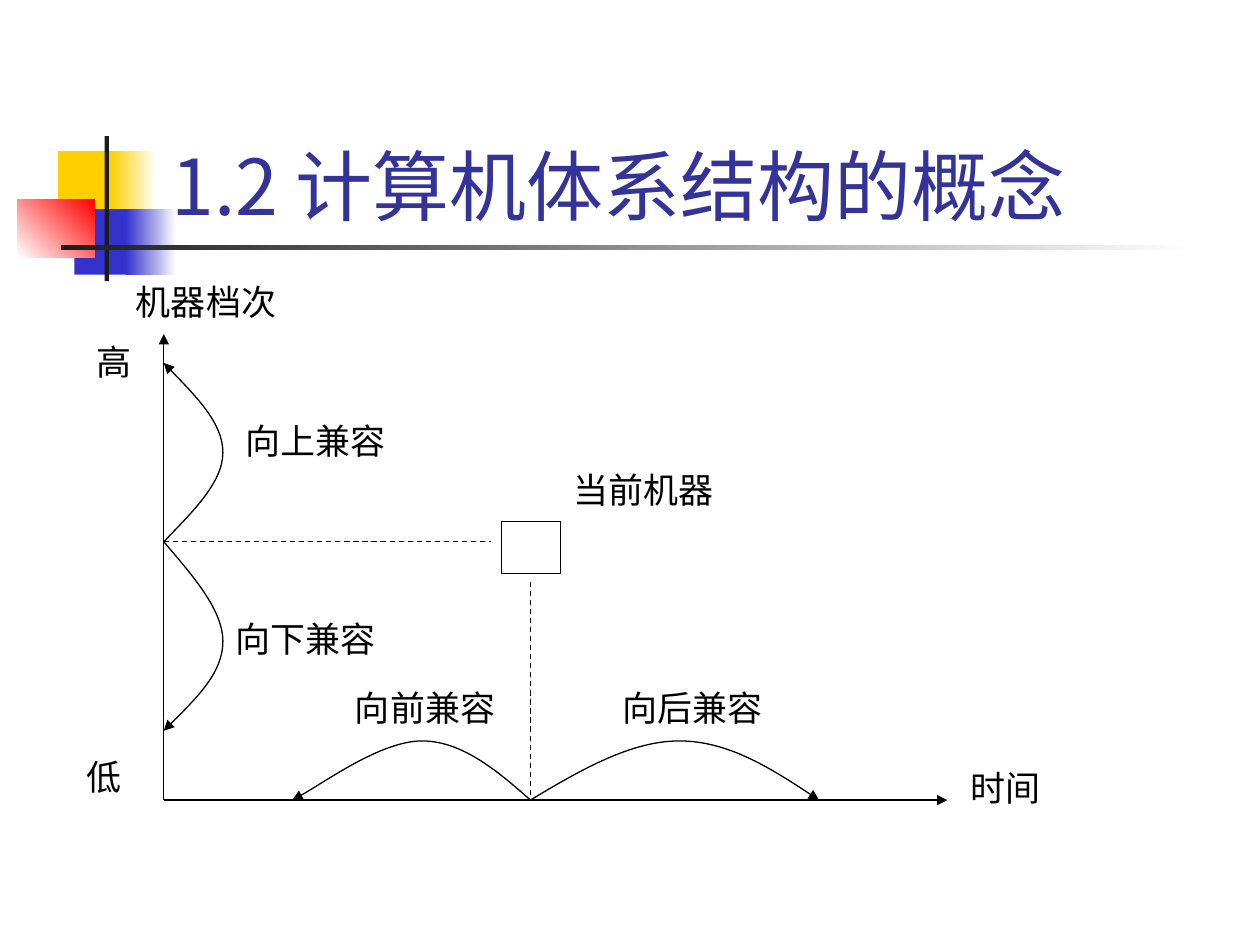
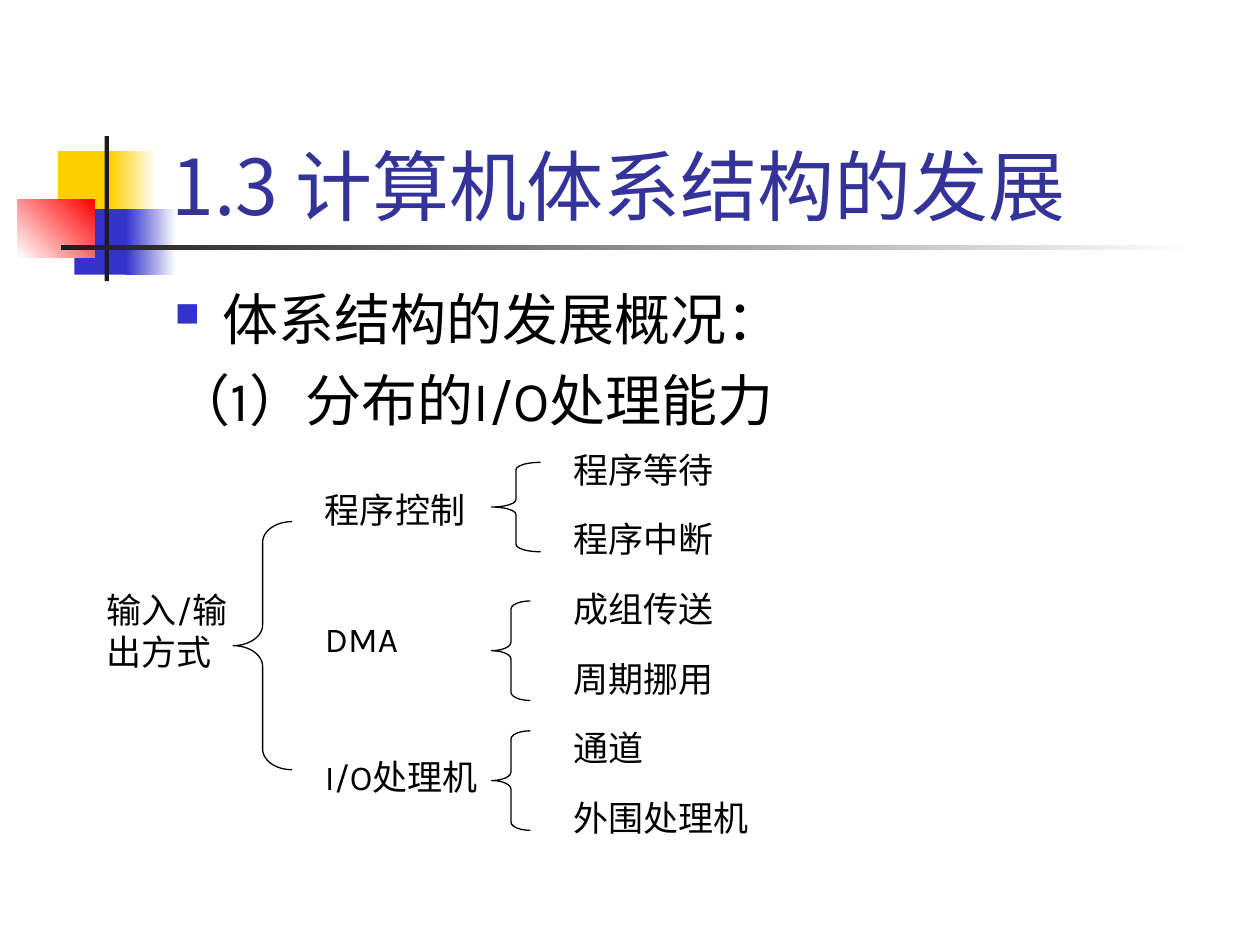
from dataclasses import dataclass

from pptx import Presentation
from pptx.dml.color import RGBColor
from pptx.enum.dml import MSO_LINE
from pptx.enum.shapes import MSO_CONNECTOR, MSO_SHAPE
from pptx.enum.text import MSO_ANCHOR, MSO_AUTO_SIZE, PP_ALIGN
from pptx.oxml.ns import qn
from pptx.oxml.xmlchemy import OxmlElement
from pptx.util import Pt

COLORS = {
    "title": "333399", "text": "000000", "ink": "1C1C1C", "yellow": "FFCF01",
    "blue": "3333CC", "red": "FF0000", "white": "FFFFFF",
}
TITLE_FONT = "Noto Sans CJK SC"
TEXT_FONT = "Karla"
LABEL_SIZE = 20
LABEL_HEIGHT = 31.7
LINE_WIDTH = 0.75


@dataclass(frozen=True)
class Block:
    """A rectangle of the title ornament, plain or fading to a second colour."""
    left: float
    top: float
    width: float
    height: float
    color: str
    fade_to: str | None = None
    angle: float = 0


@dataclass(frozen=True)
class Label:
    text: str
    left: float
    top: float
    width: float
    height: float = LABEL_HEIGHT


@dataclass(frozen=True)
class Brace:
    left: float
    top: float
    width: float
    height: float


@dataclass(frozen=True)
class Arc:
    """Cubic curve: a start, then three points for each segment."""
    start: tuple[float, float]
    points: tuple[tuple[float, float], ...]


ORNAMENT = (
    Block(33.1, 86.4, 34.6, 37.4, "yellow"),
    Block(63.4, 86.4, 25.9, 37.4, "yellow", "white"),
    Block(42.5, 119.5, 33.1, 37.4, "blue"),
    Block(72, 119.5, 28.8, 37.4, "blue", "white"),
    Block(10.1, 113.8, 43.9, 33.1, "white", "red", 45),
    Block(59.8, 77.8, 2.5, 82.8, "ink"),
    Block(34.6, 140.2, 648, 2.5, "ink", "white"),
)

# Compatibility chart: axes meet at (AXIS_X, AXIS_Y), the machine at (NOW_X, LEVEL_Y)
AXIS_X, AXIS_Y = 93.6, 457.2
NOW_X, LEVEL_Y = 303.1, 309.6
ARC_X, ARC_Y = 127.4, 423.4

CHART_LABELS = (
    Label("当前机器", 320.4, 264.2, 102.2),
    Label("机器档次", 70.6, 157, 108),
    Label("时间", 547.2, 434.2, 85),
    Label("低", 42.5, 428.4, 45.4),
    Label("高", 48.2, 190.8, 45.4),
    Label("向上兼容", 133.2, 236.2, 96.5),
    Label("向下兼容", 127.4, 349.2, 96.5),
    Label("向前兼容", 195.8, 388.8, 96.5),
    Label("向后兼容", 348.5, 388.8, 96.5),
)
COMPATIBILITY_ARCS = (
    Arc((AXIS_X, LEVEL_Y), ((110.2, 292.3), (ARC_X, 275.8), (ARC_X, 258.5),
                            (ARC_X, 241.9), (110.2, 224.6), (AXIS_X, 207.4))),
    Arc((AXIS_X, LEVEL_Y), ((110.2, 329), (ARC_X, 348.5), (ARC_X, 366.5),
                            (ARC_X, 384.5), (110.2, 401), (AXIS_X, 417.6))),
    Arc((NOW_X, AXIS_Y), ((283.7, 439.9), (263.5, ARC_Y), (241.2, ARC_Y),
                          (218.2, ARC_Y), (179.3, 451.4), (167, AXIS_Y))),
    Arc((NOW_X, AXIS_Y), ((331.9, 439.9), (360.7, ARC_Y), (388.1, ARC_Y),
                          (415.4, ARC_Y), (442.1, 439.9), (468, AXIS_Y))),
)

# Tree of input/output methods
METHODS = (
    Label("输入/输出方式", 54, 332.6, 96.5, 55.4),
    Label("程序控制", 178.6, 275.8, 102.2),
    Label("DMA", 178.6, 349.2, 102.2),
    Label("I/O处理机", 178.6, 428.4, 113),
)
BRACES = (
    Brace(133.2, 298.1, 33.8, 141.8),
    Brace(280.8, 264.2, 28.1, 51.1),
    Brace(280.8, 343.4, 22.3, 56.9),
    Brace(280.8, 417.6, 22.3, 56.9),
)
VARIANTS = ("程序等待", "程序中断", "成组传送", "周期挪用", "通道", "外围处理机")
VARIANT_TOP, VARIANT_STEP = 252.7, 39.75


def rgb(name: str) -> RGBColor:
    return RGBColor.from_string(COLORS[name])


def add_element(parent, tag: str, **attributes: str):
    element = OxmlElement(tag)
    for key, value in attributes.items():
        element.set(key, value)
    parent.append(element)
    return element


def format_runs(paragraph, size: float, font: str, color: str) -> None:
    for run in paragraph.runs:
        run.font.size = Pt(size)
        run.font.name = font
        run.font.color.rgb = rgb(color)
        add_element(run.font._element, "a:ea", typeface=font)


def draw_block(slide, block: Block) -> None:
    shape = slide.shapes.add_shape(
        MSO_SHAPE.RECTANGLE, Pt(block.left), Pt(block.top), Pt(block.width), Pt(block.height))
    shape.shadow.inherit = False
    shape.line.fill.background()
    if block.fade_to is None:
        shape.fill.solid()
        shape.fill.fore_color.rgb = rgb(block.color)
        return
    shape.fill.gradient()
    shape.fill.gradient_angle = block.angle
    for stop, position, color in zip(
            shape.fill.gradient_stops, (0, 1), (block.color, block.fade_to)):
        stop.position = position
        stop.color.rgb = rgb(color)


def add_titled_slide(deck, heading: str):
    slide = deck.slides.add_slide(deck.slide_layouts[5])
    for block in ORNAMENT:
        draw_block(slide, block)
    title = slide.shapes.title
    slide.shapes._spTree.append(title._element)  # title above the ornament
    title.left, title.top, title.width, title.height = Pt(90.7), Pt(16.6), Pt(613.4), Pt(115.2)
    frame = title.text_frame
    frame.text = heading
    frame.auto_size = MSO_AUTO_SIZE.NONE
    frame.vertical_anchor = MSO_ANCHOR.BOTTOM
    frame.margin_bottom = 0
    frame.paragraphs[0].alignment = PP_ALIGN.LEFT
    format_runs(frame.paragraphs[0], 44, TITLE_FONT, "title")
    return slide


def draw_label(slide, label: Label, size: float = LABEL_SIZE):
    box = slide.shapes.add_textbox(
        Pt(label.left), Pt(label.top), Pt(label.width), Pt(label.height))
    frame = box.text_frame
    frame.word_wrap = True
    frame.text = label.text
    for paragraph in frame.paragraphs:
        format_runs(paragraph, size, TEXT_FONT, "text")
    return frame


def style_line(shape, dashed: bool = False, arrow: bool = False) -> None:
    shape.line.color.rgb = rgb("text")
    shape.line.width = Pt(LINE_WIDTH)
    if dashed:
        shape.line.dash_style = MSO_LINE.DASH
    properties = shape._element.spPr
    if arrow:
        add_element(properties.find(qn("a:ln")), "a:tailEnd", type="triangle")
    add_element(properties, "a:effectLst")


def draw_line(slide, start: tuple[float, float], end: tuple[float, float],
              dashed: bool = False, arrow: bool = False) -> None:
    connector = slide.shapes.add_connector(
        MSO_CONNECTOR.STRAIGHT, *(Pt(value) for value in start + end))
    style_line(connector, dashed, arrow)


def draw_outline(slide, preset, left: float, top: float, width: float, height: float):
    shape = slide.shapes.add_shape(preset, Pt(left), Pt(top), Pt(width), Pt(height))
    shape.fill.background()
    style_line(shape)
    return shape


def draw_brace(slide, brace: Brace) -> None:
    shape = draw_outline(slide, MSO_SHAPE.LEFT_BRACE,
                         brace.left, brace.top, brace.width, brace.height)
    shape.adjustments[0] = brace.height / 12 / min(brace.width, brace.height)


def draw_arc(slide, arc: Arc) -> None:
    builder = slide.shapes.build_freeform(Pt(arc.start[0]), Pt(arc.start[1]))
    builder.add_line_segments([(Pt(x), Pt(y)) for x, y in arc.points], close=False)
    shape = builder.convert_to_shape()
    # Join each three straight steps into one cubic segment
    outline = next(shape._element.iter(qn("a:path")))
    steps = outline.findall(qn("a:lnTo"))
    for first in range(0, len(steps), 3):
        curve = add_element(outline, "a:cubicBezTo")
        for step in steps[first:first + 3]:
            curve.append(step[0])
            outline.remove(step)
    shape.fill.background()
    style_line(shape, arrow=True)


def build_compatibility_slide(deck) -> None:
    slide = add_titled_slide(deck, "1.2 计算机体系结构的概念")
    # Axes
    draw_line(slide, (AXIS_X, AXIS_Y), (AXIS_X, 190.8), arrow=True)
    draw_line(slide, (AXIS_X, AXIS_Y), (541.4, AXIS_Y), arrow=True)
    # Current machine and its guides
    draw_outline(slide, MSO_SHAPE.RECTANGLE, 286.6, 298.1, 33.8, 29.5)
    draw_line(slide, (AXIS_X, LEVEL_Y), (280.8, LEVEL_Y), dashed=True)
    draw_line(slide, (NOW_X, 332.6), (NOW_X, AXIS_Y), dashed=True)
    for arc in COMPATIBILITY_ARCS:
        draw_arc(slide, arc)
    for label in CHART_LABELS:
        draw_label(slide, label)


def build_methods_slide(deck) -> None:
    slide = add_titled_slide(deck, "1.3 计算机体系结构的发展")
    # Topic with a bullet, then its first point
    outline = Label("体系结构的发展概况：\n（1）分布的I/O处理能力", 92.9, 159.1, 612, 324)
    topic, point = draw_label(slide, outline, 32).paragraphs
    for paragraph in (topic, point):
        properties = paragraph._p.get_or_add_pPr()
        properties.set("marL", str(Pt(27)))
        properties.set("indent", str(-Pt(27)))
    properties = topic._p.pPr
    add_element(add_element(properties, "a:buClr"), "a:srgbClr", val=COLORS["blue"])
    add_element(properties, "a:buSzPct", val="60000")
    add_element(properties, "a:buChar", char="■")
    point.space_before = Pt(8)
    # Tree
    for brace in BRACES:
        draw_brace(slide, brace)
    for method in METHODS:
        draw_label(slide, method)
    for row, variant in enumerate(VARIANTS):
        draw_label(slide, Label(variant, 320.4, VARIANT_TOP + row * VARIANT_STEP, 118.8))


def main() -> None:
    deck = Presentation()
    deck.slide_width, deck.slide_height = Pt(720), Pt(540)
    build_compatibility_slide(deck)
    build_methods_slide(deck)
    deck.save("out.pptx")


if __name__ == "__main__":
    main()
